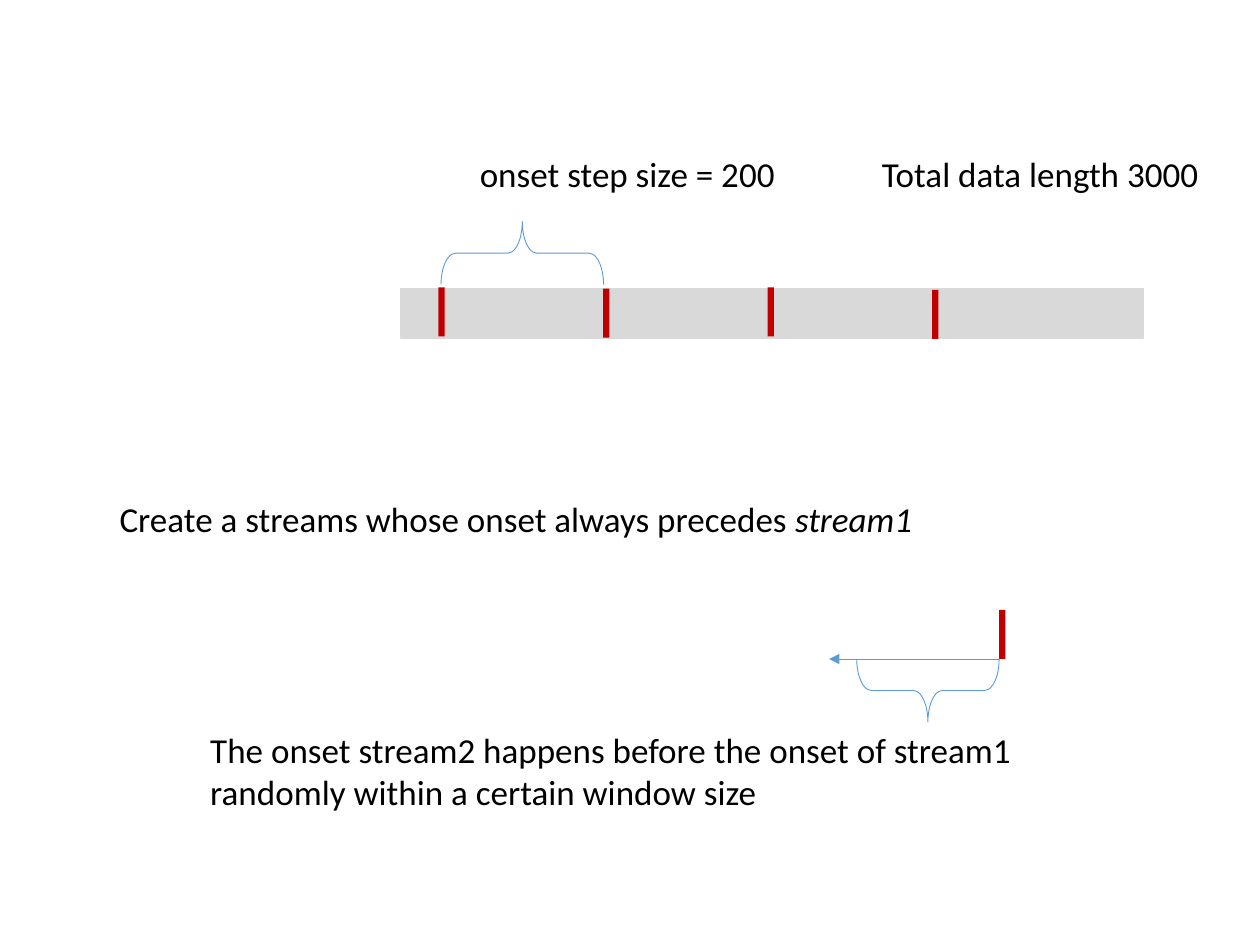
from dataclasses import dataclass

from pptx import Presentation
from pptx.dml.color import RGBColor as RGB
from pptx.enum.shapes import MSO_CONNECTOR as CONN, MSO_SHAPE as SHAPE
from pptx.enum.text import MSO_AUTO_SIZE as AUTO
from pptx.oxml.ns import qn
from pptx.util import Inches, Pt
from lxml.etree import SubElement


@dataclass(frozen=True)
class Theme:
    font: str = "Calibri"
    size: float = 20
    hairline: float = 0.5
    border: float = 1
    text: RGB = RGB(0x00, 0x00, 0x00)
    stream: RGB = RGB(0xD9, 0xD9, 0xD9)
    onset: RGB = RGB(0xC0, 0x00, 0x00)
    accent: RGB = RGB(0x5B, 0x9B, 0xD5)


class Canvas:
    def __init__(self, slide, theme):
        self.s = slide
        self.t = theme

    def shape(self, kind, x, y, w, h):
        sp = self.s.shapes.add_shape(kind, Inches(x), Inches(y), Inches(w), Inches(h))
        sp.shadow.inherit = False
        return sp

    def stroke(self, sp, color, width):
        sp.line.color.rgb = color
        sp.line.width = Pt(width)

    def bar(self, x, y, w, h, color):
        sp = self.shape(SHAPE.RECTANGLE, x, y, w, h)
        sp.fill.solid()
        sp.fill.fore_color.rgb = color
        sp.line.fill.background()
        return sp

    def stream(self, x, y, w, h):
        sp = self.bar(x, y, w, h, self.t.stream)
        self.stroke(sp, self.t.stream, self.t.border)

    def onset(self, x, y):
        self.bar(x, y, 0.05, 0.39, self.t.onset)

    def brace(self, x, y, span, rotation):
        depth = 0.5
        sp = self.shape(SHAPE.LEFT_BRACE, x + (span - depth) / 2,
                        y + (depth - span) / 2, depth, span)
        sp.rotation = rotation
        sp.adjustments[0] = 0.232
        sp.adjustments[1] = 0.5
        sp.fill.background()
        self.stroke(sp, self.t.accent, self.t.hairline)

    def arrow(self, x1, y1, x2, y2):
        c = self.s.shapes.add_connector(CONN.STRAIGHT, Inches(x1), Inches(y1),
                                        Inches(x2), Inches(y2))
        self.stroke(c, self.t.accent, self.t.hairline)
        SubElement(c.line._get_or_add_ln(), qn("a:tailEnd"), type="triangle")
        SubElement(c._element.spPr, qn("a:effectLst"))

    def label(self, x, y, w, h, *runs, wrap=False):
        sp = self.s.shapes.add_textbox(Inches(x), Inches(y), Inches(w), Inches(h))
        tf = sp.text_frame
        tf.word_wrap = wrap
        tf.auto_size = AUTO.SHAPE_TO_FIT_TEXT
        p = tf.paragraphs[0]
        for text, italic in runs:
            r = p.add_run()
            r.text = text
            r.font.name = self.t.font
            r.font.size = Pt(self.t.size)
            r.font.color.rgb = self.t.text
            if italic:
                r.font.italic = True


def main():
    prs = Presentation()
    prs.slide_width, prs.slide_height = Inches(10), Inches(7.5)
    c = Canvas(prs.slides.add_slide(prs.slide_layouts[6]), Theme())

    c.stream(3.18, 2.29, 5.89, 0.39)
    first, step = 3.48, 1.306
    for i, y in enumerate((2.28, 2.29, 2.28, 2.3)):
        c.onset(first + i * step, y)
    c.brace(3.5, 1.76, 1.29, 90)
    c.label(3.71, 1.16, 2.57, 0.44, ("onset step size = 200", False))
    c.label(6.9, 1.16, 2.8, 0.44, ("Total data length 3000", False))

    c.label(0.85, 3.9, 6.55, 0.44,
            ("Create a streams whose onset always precedes ", False), ("stream1", True))
    c.onset(7.93, 4.84)
    c.brace(6.8, 5.23, 1.13, 270)
    c.arrow(7.93, 5.23, 6.58, 5.23)
    c.label(1.57, 5.73, 7.15, 0.77,
            ("The onset stream2 happens before the onset of stream1 "
             "randomly within a certain window size", False), wrap=True)

    prs.save("out.pptx")


if __name__ == "__main__":
    main()
